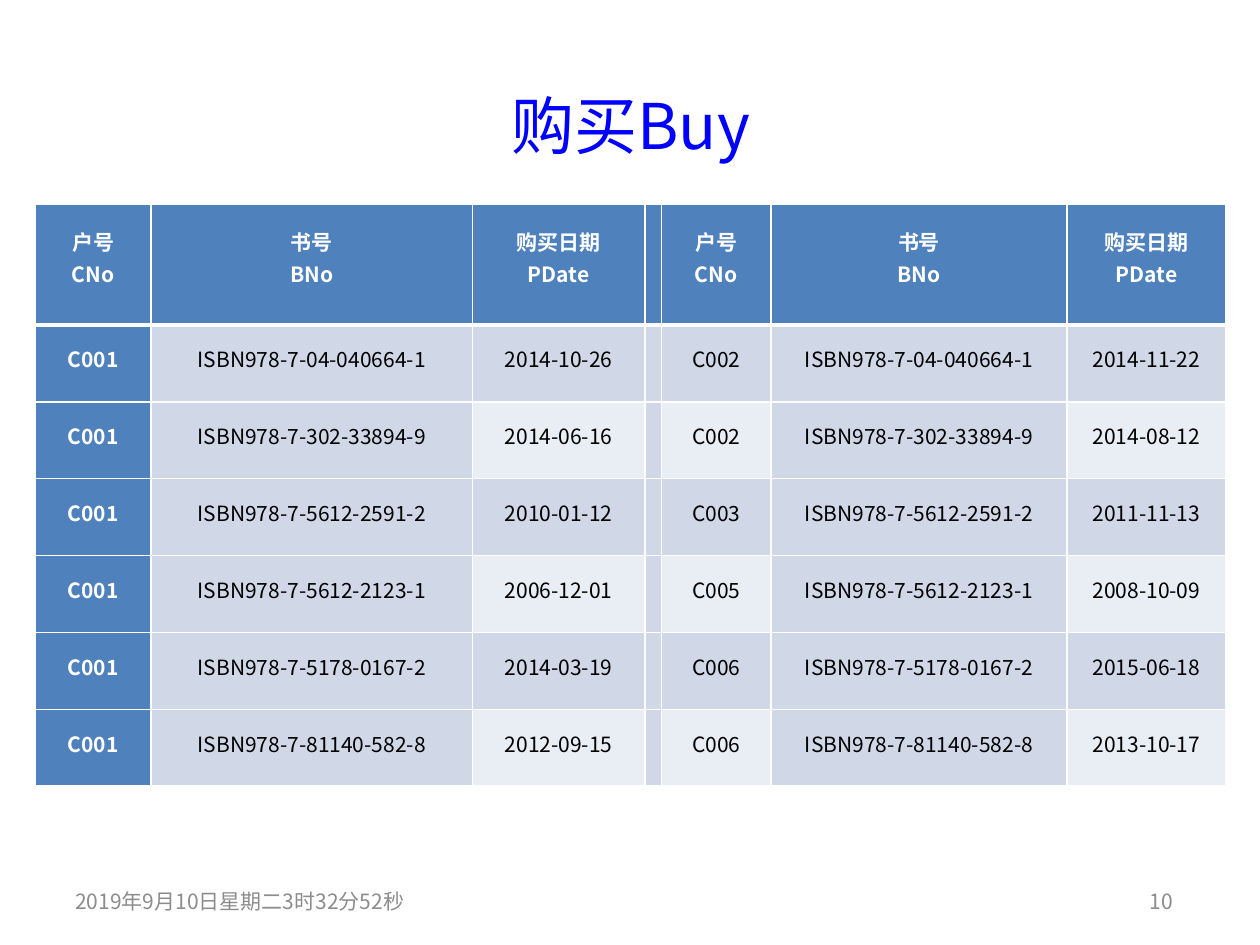
from lxml.etree import SubElement
from pptx import Presentation
from pptx.dml.color import RGBColor
from pptx.enum.text import MSO_ANCHOR, PP_ALIGN
from pptx.oxml import parse_xml
from pptx.oxml.ns import nsdecls, qn
from pptx.util import Inches, Pt

# Content
TITLE = "购买Buy"
DATE = "2019年9月10日星期二3时32分52秒"
PAGE_NUMBER = "10"
FIELDS = [("户号", "CNo"), ("书号", "BNo"), ("购买日期", "PDate")]
LEFT_CUSTOMER = "C001"
PURCHASES = [  # book, left date, right customer, right date
    ("ISBN978-7-04-040664-1", "2014-10-26", "C002", "2014-11-22"),
    ("ISBN978-7-302-33894-9", "2014-06-16", "C002", "2014-08-12"),
    ("ISBN978-7-5612-2591-2", "2010-01-12", "C003", "2011-11-13"),
    ("ISBN978-7-5612-2123-1", "2006-12-01", "C005", "2008-10-09"),
    ("ISBN978-7-5178-0167-2", "2014-03-19", "C006", "2015-06-18"),
    ("ISBN978-7-81140-582-8", "2012-09-15", "C006", "2013-10-17"),
]

# Layout and formats
FONT = "Noto Sans CJK SC"
COLUMN_WIDTHS = [0.92, 2.55, 1.37, 0.13, 0.87, 2.35, 1.26]
HEADER_HEIGHT, ROW_HEIGHT = 0.96, 0.61
BLUE, BAND_DARK, BAND_LIGHT, WHITE = "4F81BD", "D0D8E8", "E9EDF4", "FFFFFF"
UNBANDED_COLUMNS = {1, 3, 5}
MARGINS = {"margin_left": 0.02, "margin_right": 0.02, "margin_top": 0, "margin_bottom": 0}
TITLE_FONT = {"size": Pt(36), "bold": False}
FOOTER_FONT = {"size": Pt(12), "bold": False}
HEADING_FONT = {"size": Pt(12), "bold": True}
BODY_FONT = {"size": Pt(12), "bold": False}


def paint(target, color):
    target.rgb = RGBColor.from_string(color)


def write(para, text, font, color, **layout):
    for name, value in layout.items():
        setattr(para, name, value)
    span = para.add_run()
    span.text = text
    span.font.name = FONT
    for name, value in font.items():
        setattr(span.font, name, value)
    paint(span.font.color, color)
    SubElement(span.font._element, qn("a:ea"), typeface=FONT)


def place(box, left, top, width, height):
    box.left, box.top = Inches(left), Inches(top)
    box.width, box.height = Inches(width), Inches(height)


def set_borders(cell, top, bottom):
    properties = cell._tc.get_or_add_tcPr()
    sides = {"lnL": 1, "lnR": 1, "lnT": top, "lnB": bottom}
    for index, (side, width) in enumerate(sides.items()):
        properties.insert(index, parse_xml(
            f'<a:{side} {nsdecls("a")} w="{Pt(width)}"><a:solidFill>'
            f'<a:srgbClr val="{WHITE}"/></a:solidFill></a:{side}>'))


def fill_color(row, column):
    if row == 0 or column == 0:
        return BLUE
    if row % 2 or column in UNBANDED_COLUMNS:
        return BAND_DARK
    return BAND_LIGHT


deck = Presentation()
deck.slide_width, deck.slide_height = Inches(10), Inches(7.5)
page = deck.slides.add_slide(deck.slide_layouts[5])

# Title
title = page.shapes.title
place(title, 0.51, 0.6, 8.99, 0.77)
title.text_frame.vertical_anchor = MSO_ANCHOR.MIDDLE
write(title.text_frame.paragraphs[0], TITLE, TITLE_FONT, "0000FF",
      alignment=PP_ALIGN.CENTER)

# Purchase table: two halves with a narrow gap column
rows = [FIELDS + [()] + FIELDS]
for book, left_date, right_customer, right_date in PURCHASES:
    rows.append([(LEFT_CUSTOMER,), (book,), (left_date,), (),
                 (right_customer,), (book,), (right_date,)])

frame = page.shapes.add_table(
    len(rows), len(COLUMN_WIDTHS), Inches(0.28), Inches(1.62),
    Inches(sum(COLUMN_WIDTHS)), Inches(HEADER_HEIGHT + ROW_HEIGHT * len(PURCHASES)))
table = frame.table
for column, width in zip(table.columns, COLUMN_WIDTHS):
    column.width = Inches(width)

for r, values in enumerate(rows):
    is_header = r == 0
    table.rows[r].height = Inches(HEADER_HEIGHT if is_header else ROW_HEIGHT)
    for c, lines in enumerate(values):
        cell = table.cell(r, c)
        cell.vertical_anchor = MSO_ANCHOR.MIDDLE
        for name, value in MARGINS.items():
            setattr(cell, name, Inches(value))
        cell.fill.solid()
        paint(cell.fill.fore_color, fill_color(r, c))
        set_borders(cell, top=3 if r == 1 else 1, bottom=3 if is_header else 1)
        is_heading = is_header or c == 0
        for index, line in enumerate(lines):
            para = cell.text_frame.add_paragraph() if index else cell.text_frame.paragraphs[0]
            write(para, line, HEADING_FONT if is_heading else BODY_FONT,
                  WHITE if is_heading else "000000",
                  alignment=PP_ALIGN.CENTER,
                  line_spacing=Pt(9 if is_header else 12),
                  space_before=Pt(9 if index else 0))

# Footer
for text, left, width, alignment in [
    (DATE, 0.5, 3, PP_ALIGN.LEFT),
    (PAGE_NUMBER, 7.17, 2.24, PP_ALIGN.RIGHT),
]:
    box = page.shapes.add_textbox(Inches(left), Inches(6.95), Inches(width), Inches(0.4))
    box.text_frame.word_wrap = True
    box.text_frame.vertical_anchor = MSO_ANCHOR.MIDDLE
    write(box.text_frame.paragraphs[0], text, FOOTER_FONT, "8C8C8C", alignment=alignment)

deck.save("out.pptx")
